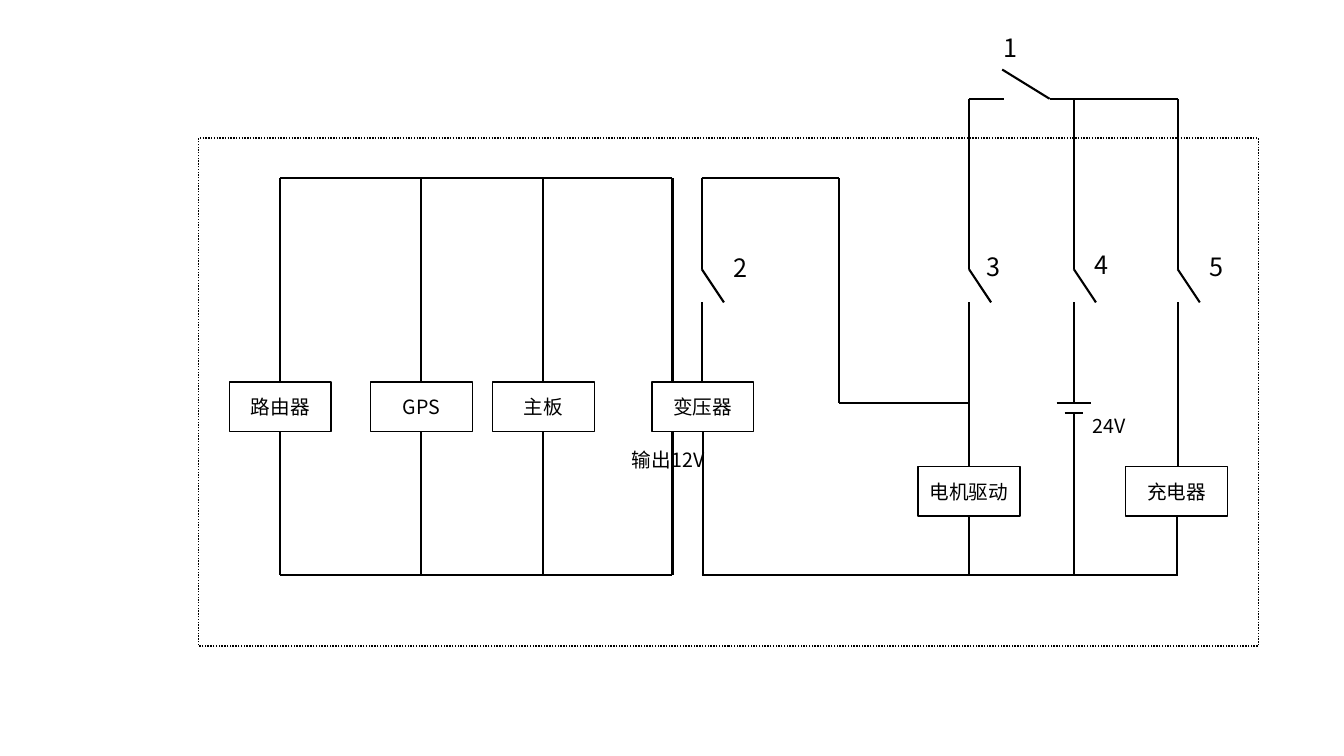
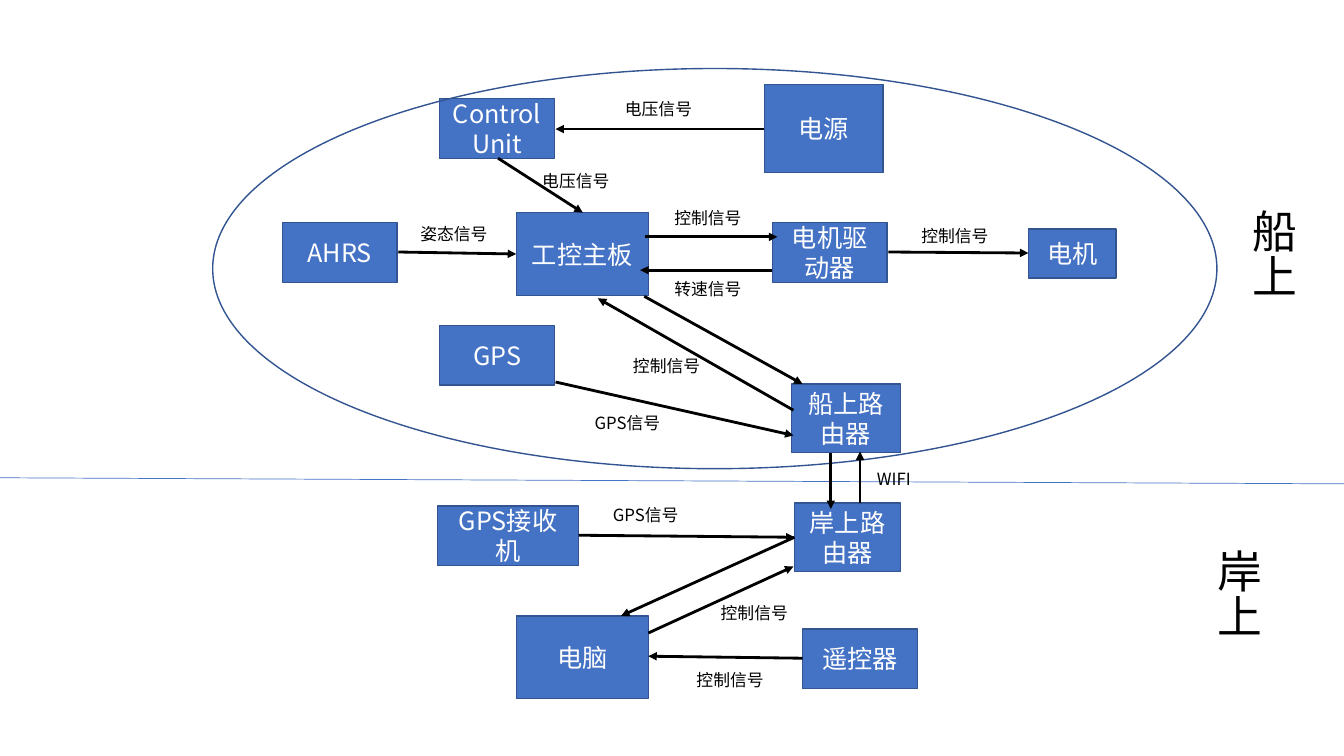
from dataclasses import dataclass
from itertools import pairwise

from lxml import etree
from pptx import Presentation
from pptx.dml.color import RGBColor
from pptx.enum.dml import MSO_LINE
from pptx.enum.shapes import MSO_CONNECTOR, MSO_SHAPE
from pptx.enum.text import MSO_ANCHOR, MSO_AUTO_SIZE, PP_ALIGN
from pptx.oxml.ns import qn
from pptx.shapes.autoshape import Shape
from pptx.slide import Slide
from pptx.util import Cm, Length, Pt

RECTANGLE = MSO_SHAPE.RECTANGLE
ELLIPSE = MSO_SHAPE.OVAL
STRAIGHT = MSO_CONNECTOR.STRAIGHT
DOTTED = MSO_LINE.ROUND_DOT
CENTER = PP_ALIGN.CENTER
LEFT = PP_ALIGN.LEFT
MIDDLE = MSO_ANCHOR.MIDDLE
FIT_TEXT = MSO_AUTO_SIZE.SHAPE_TO_FIT_TEXT

COLORS = {"ink": "000000", "box": "4472C4", "outline": "325491", "light": "FFFFFF"}
FONT = "Noto Sans CJK SC"
CM_PER_INCH = 2.54
Point = tuple[float, float]


@dataclass(frozen=True)
class Box:
    text: str
    left: float
    top: float
    width: float = 1.14
    height: float = 0.59


@dataclass(frozen=True)
class Label:
    text: str
    left: float
    top: float
    width: float = 0.93
    height: float = 0.3
    size: int = 12
    vertical: bool = False


@dataclass(frozen=True)
class Load:
    text: str
    center: float
    top: float


@dataclass(frozen=True)
class Arrow:
    start: Point
    end: Point


def inches(value: float) -> Length:
    return Cm(value * CM_PER_INCH)


def color(name: str) -> RGBColor:
    return RGBColor.from_string(COLORS[name])


def write_text(shape: Shape, text: str, size: int, color_name: str, alignment: PP_ALIGN) -> None:
    shape.text_frame.word_wrap = True
    shape.text_frame.text = text
    paragraph = shape.text_frame.paragraphs[0]
    paragraph.alignment = alignment
    font = paragraph.runs[0].font
    font.name = FONT
    font.size = Pt(size)
    font.color.rgb = color(color_name)
    east_asian = etree.SubElement(paragraph.runs[0].font._element, qn("a:ea"))
    east_asian.set("typeface", FONT)


def draw_outline(slide: Slide, kind: MSO_SHAPE, box: Box, line_color: str) -> Shape:
    frame = map(inches, (box.left, box.top, box.width, box.height))
    shape = slide.shapes.add_shape(kind, *frame)
    shape.shadow.inherit = False
    shape.fill.background()
    shape.line.color.rgb = color(line_color)
    shape.line.width = Pt(1)
    return shape


def draw_box(slide: Slide, box: Box) -> None:
    shape = draw_outline(slide, RECTANGLE, box, "outline")
    shape.fill.solid()
    shape.fill.fore_color.rgb = color("box")
    shape.text_frame.vertical_anchor = MIDDLE
    write_text(shape, box.text, 18, "light", CENTER)


def draw_load(slide: Slide, load: Load) -> None:
    box = Box(load.text, load.center - LOAD_WIDTH / 2, load.top, LOAD_WIDTH, LOAD_HEIGHT)
    shape = draw_outline(slide, RECTANGLE, box, "ink")
    shape.text_frame.vertical_anchor = MIDDLE
    write_text(shape, load.text, 14, "ink", CENTER)


def draw_label(slide: Slide, label: Label) -> None:
    frame = map(inches, (label.left, label.top, label.width, label.height))
    shape = slide.shapes.add_textbox(*frame)
    write_text(shape, label.text, label.size, "ink", LEFT)
    shape.text_frame.auto_size = FIT_TEXT
    if label.vertical:
        shape.text_frame._txBody.bodyPr.set("vert", "eaVert")


def draw_line(
    slide: Slide, start: Point, end: Point, width: float, color_name: str = "ink", arrow: bool = False
) -> None:
    connector = slide.shapes.add_connector(STRAIGHT, *map(inches, (*start, *end)))
    connector.line.color.rgb = color(color_name)
    connector.line.width = Pt(width)
    properties = connector._element.spPr
    if arrow:
        etree.SubElement(properties.find(qn("a:ln")), qn("a:tailEnd")).set("type", "triangle")
    etree.SubElement(properties, qn("a:effectLst"))


def draw_wire(slide: Slide, *points: Point) -> None:
    for start, end in pairwise(points):
        draw_line(slide, start, end, 1.5)


LOAD_WIDTH, LOAD_HEIGHT = 1.01, 0.49
UPPER_LOAD, LOWER_LOAD = 3.79, 4.63
TOP_RAIL, BOTTOM_RAIL, SUPPLY_RAIL = 1.77, 5.7, 0.98
SWITCH_TOP, SWITCH_BOTTOM, SWITCH_REACH = 2.67, 3, 0.22
OUTPUT, INPUT, FEED, DRIVER, BATTERY, CHARGER = 6.67, 6.96, 8.32, 9.61, 10.65, 11.68
PLATE_TOP, PLATE_BOTTOM = 4, 4.1

SMALL_LOADS = [
    Load("路由器", 2.78, UPPER_LOAD),
    Load("GPS", 4.18, UPPER_LOAD),
    Load("主板", 5.39, UPPER_LOAD),
]
MAIN_LOADS = [
    Load("变压器", 6.97, UPPER_LOAD),
    Load("电机驱动", DRIVER, LOWER_LOAD),
    Load("充电器", 11.67, LOWER_LOAD),
]
SWITCHED_BRANCHES = [
    (INPUT, TOP_RAIL, UPPER_LOAD),
    (DRIVER, SUPPLY_RAIL, LOWER_LOAD),
    (BATTERY, SUPPLY_RAIL, PLATE_TOP),
    (CHARGER, SUPPLY_RAIL, LOWER_LOAD),
]
CIRCUIT_LABELS = [
    Label("1", 9.85, 0.27, 0.38, 0.4, 18),
    Label("2", 7.18, 2.45, 0.38, 0.4, 18),
    Label("3", 9.69, 2.44, 0.38, 0.4, 18),
    Label("4", 10.76, 2.42, 0.38, 0.4, 18),
    Label("5", 11.9, 2.44, 0.38, 0.4, 18),
    Label("24V", 10.74, 4.06, 0.63, 0.34, 14),
    Label("输出12V", 6.17, 4.39, 1.37, 0.34, 14),
]

SIGNAL_BOXES = [
    Box("电源", 7.58, 0.84, 1.18, 0.87),
    Box("GPS", 4.36, 3.23),
    Box("AHRS", 2.8, 2.21),
    Box("工控主板", 5.12, 2.11, 1.31, 0.82),
    Box("Control Unit", 4.36, 0.98),
    Box("电机驱动器", 7.66, 2.21),
    Box("电机", 10.2, 2.27, 0.87, 0.49),
    Box("船上路由器", 7.85, 3.81, 1.08, 0.68),
    Box("电脑", 5.12, 6.11, 1.31, 0.82),
    Box("GPS接收机", 4.34, 5.02, 1.4),
    Box("遥控器", 7.96, 6.24),
    Box("岸上路由器", 7.88, 4.99, 1.05, 0.68),
]
SIGNAL_ARROWS = [
    Arrow((4.94, 1.57), (5.78, 2.11)),
    Arrow((3.95, 2.5), (5.12, 2.52)),
    Arrow((5.51, 3.79), (7.87, 4.32)),
    Arrow((7.58, 1.28), (5.51, 1.28)),
    Arrow((6.4, 2.35), (7.71, 2.35)),
    Arrow((7.66, 2.68), (6.35, 2.68)),
    Arrow((8.81, 2.5), (10.2, 2.51)),
    Arrow((7.87, 4.07), (5.93, 2.96)),
    Arrow((6.39, 2.94), (7.96, 3.81)),
    Arrow((5.74, 5.31), (7.88, 5.33)),
    Arrow((7.88, 5.33), (6.16, 6.11)),
    Arrow((6.43, 6.28), (7.87, 5.62)),
    Arrow((7.96, 6.53), (6.43, 6.51)),
    Arrow((8.24, 4.49), (8.24, 5.05)),
    Arrow((8.53, 4.99), (8.53, 4.48)),
]
SIGNAL_LABELS = [
    Label("电压信号", 6.1, 0.93),
    Label("电压信号", 5.28, 1.64),
    Label("姿态信号", 4.07, 2.17),
    Label("控制信号", 6.59, 2.01),
    Label("转速信号", 6.59, 2.72),
    Label("控制信号", 9.04, 2.19),
    Label("控制信号", 6.18, 3.48),
    Label("GPS信号", 5.8, 4.05, 0.9),
    Label("WIFI", 8.6, 4.6),
    Label("GPS信号", 5.98, 4.96, 1.44),
    Label("控制信号", 7.05, 5.93),
    Label("控制信号", 6.81, 6.6),
    Label("船上", 12.2, 1.98, 0.74, 1.25, 32, True),
    Label("岸上", 11.86, 5.35, 0.74, 1.25, 32, True),
]


def draw_circuit(slide: Slide) -> None:
    enclosure = draw_outline(slide, RECTANGLE, Box("", 1.97, 1.37, 10.51, 5.04), "ink")
    enclosure.line.dash_style = DOTTED

    for x in [load.center for load in SMALL_LOADS] + [OUTPUT]:
        draw_wire(slide, (x, TOP_RAIL), (x, UPPER_LOAD))
        draw_wire(slide, (x, UPPER_LOAD + LOAD_HEIGHT), (x, BOTTOM_RAIL))
    for rail in (TOP_RAIL, BOTTOM_RAIL):
        draw_wire(slide, (SMALL_LOADS[0].center, rail), (OUTPUT, rail))

    for x, top, bottom in SWITCHED_BRANCHES:
        draw_wire(slide, (x, top), (x, SWITCH_TOP), (x + SWITCH_REACH, SWITCH_BOTTOM))
        draw_wire(slide, (x, SWITCH_BOTTOM), (x, bottom))
    draw_wire(slide, (INPUT, TOP_RAIL), (FEED, TOP_RAIL), (FEED, PLATE_TOP), (DRIVER, PLATE_TOP))

    draw_wire(slide, (DRIVER, SUPPLY_RAIL), (9.96, SUPPLY_RAIL))
    draw_wire(slide, (9.94, 0.69), (10.41, SUPPLY_RAIL), (CHARGER, SUPPLY_RAIL))

    for y, half_width in ((PLATE_TOP, 0.17), (PLATE_BOTTOM, 0.09)):
        draw_wire(slide, (BATTERY - half_width, y), (BATTERY + half_width, y))
    draw_wire(slide, (BATTERY, PLATE_BOTTOM), (BATTERY, BOTTOM_RAIL))
    for load in MAIN_LOADS:
        draw_wire(slide, (load.center, load.top + LOAD_HEIGHT), (load.center, BOTTOM_RAIL))
    draw_wire(slide, (INPUT, BOTTOM_RAIL), (CHARGER, BOTTOM_RAIL))

    for load in SMALL_LOADS + MAIN_LOADS:
        draw_load(slide, load)
    for label in CIRCUIT_LABELS:
        draw_label(slide, label)


def draw_signals(slide: Slide) -> None:
    for box in SIGNAL_BOXES:
        draw_box(slide, box)
    draw_outline(slide, ELLIPSE, Box("", 2.11, 0.68, 9.96, 3.97), "outline")
    draw_line(slide, (0, 4.74), (13.33, 4.8), 0.5, "box")
    for arrow in SIGNAL_ARROWS:
        draw_line(slide, arrow.start, arrow.end, 2, arrow=True)
    for label in SIGNAL_LABELS:
        draw_label(slide, label)


presentation = Presentation()
presentation.slide_width = inches(13.33)
presentation.slide_height = inches(7.5)
blank_layout = presentation.slide_layouts[6]
for draw in (draw_circuit, draw_signals):
    draw(presentation.slides.add_slide(blank_layout))
presentation.save("out.pptx")
